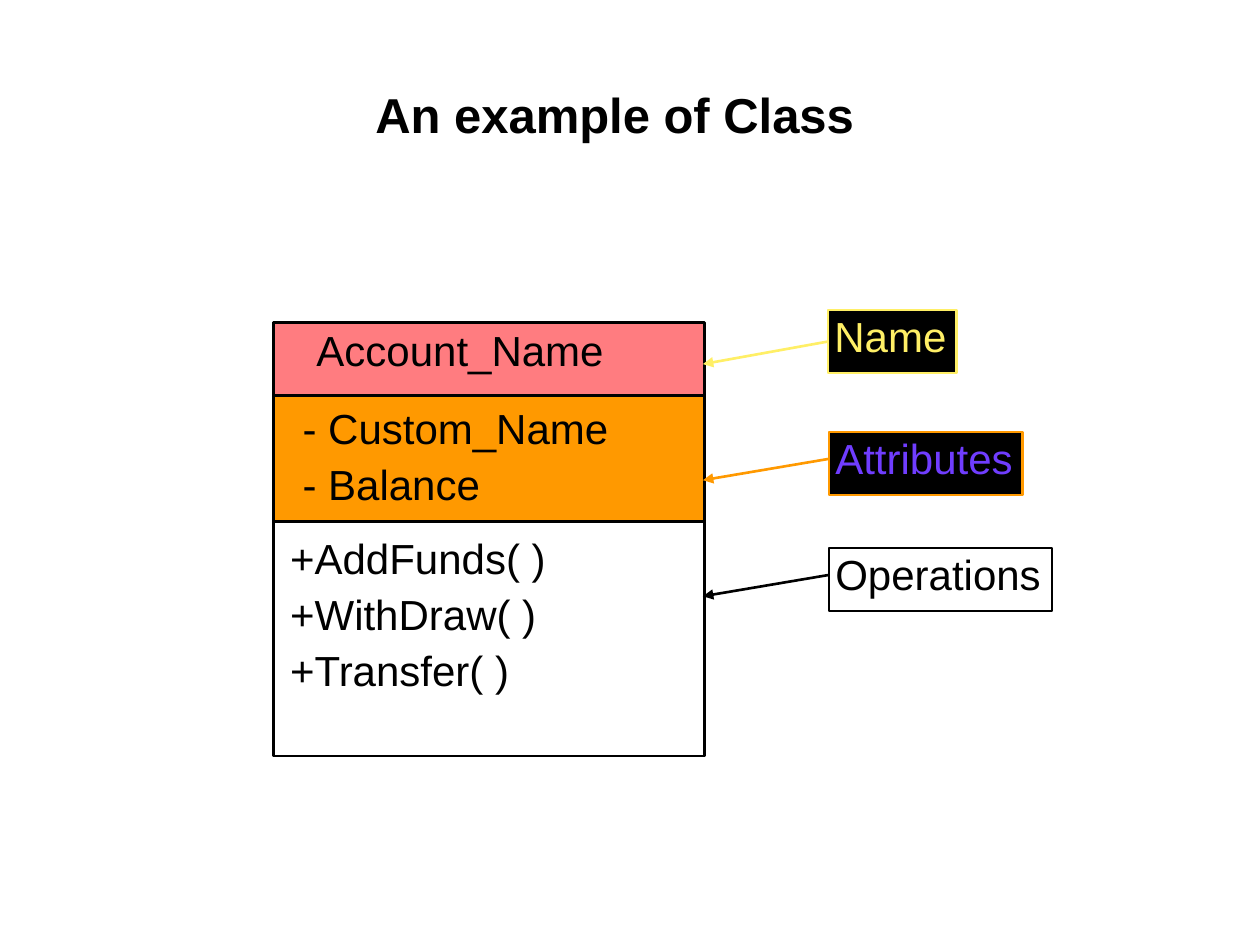
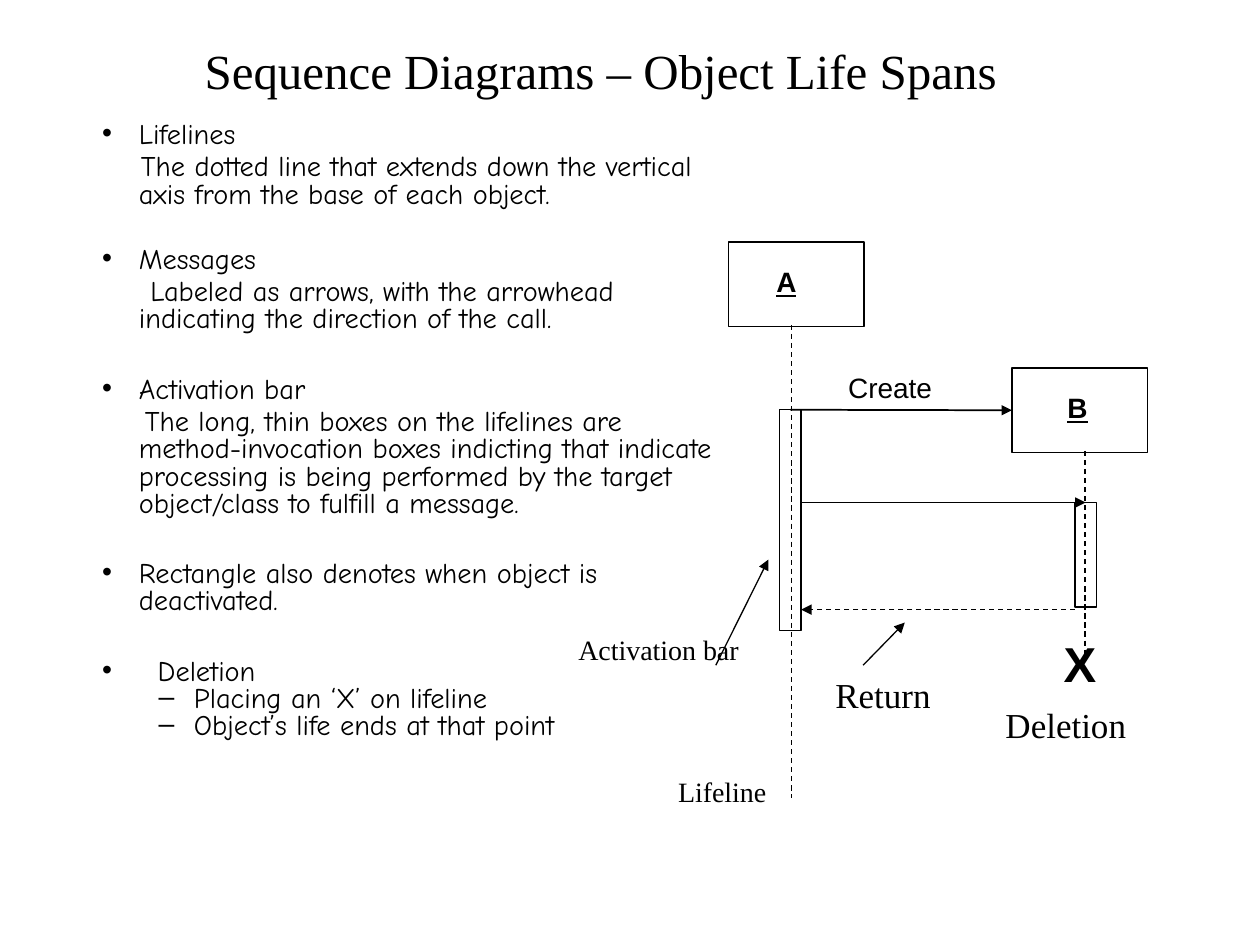
"""Build two slides on UML: a class box and a sequence diagram."""
from lxml.etree import SubElement
from pptx import Presentation
from pptx.dml.color import RGBColor
from pptx.enum.dml import MSO_LINE
from pptx.enum.shapes import MSO_CONNECTOR, MSO_SHAPE
from pptx.enum.text import MSO_ANCHOR, MSO_AUTO_SIZE, PP_ALIGN
from pptx.oxml.ns import qn
from pptx.util import Cm, Pt

BLACK, WHITE, YELLOW = "000000", "FFFFFF", "FFEF66"
ORANGE, PINK, VIOLET = "FF9900", "FF7C80", "703DFF"
SANS, SERIF, COMIC = "Arial", "Times New Roman", "Comic Neue"


def paint(code):
    return RGBColor.from_string(code)


def apply(target, values):
    for name, value in values.items():
        setattr(target, name, value)


class Deck:
    def __init__(self):
        self.file = Presentation()
        apply(self.file, {"slide_width": Cm(25.4), "slide_height": Cm(19.05)})
        self.slide = None

    def page(self, layout):
        self.slide = self.file.slides.add_slide(self.file.slide_layouts[layout])
        fill = self.slide.background.fill
        fill.solid()
        fill.fore_color.rgb = paint(WHITE)

    def place(self, item, box):
        apply(item, dict(zip(("left", "top", "width", "height"), map(Cm, box))))

    def frame(self, item, **more):
        frame = item.text_frame
        sides = ("margin_left", "margin_top", "margin_right", "margin_bottom")
        apply(frame, {"word_wrap": True, "auto_size": MSO_AUTO_SIZE.NONE,
                      "vertical_anchor": MSO_ANCHOR.TOP,
                      **dict.fromkeys(sides, Cm(0.13)), **more})
        return frame

    def word(self, para, text, size, font, color=BLACK, **more):
        run = para.add_run()
        run.text = text
        apply(run.font, {"size": Pt(size), "name": font, "bold": False, **more})
        run.font.color.rgb = paint(color)

    def label(self, item, lines, size, font=SANS, color=BLACK, space=1.0, **more):
        frame = self.frame(item)
        for row, line in enumerate(lines):
            para = frame.add_paragraph() if row else frame.paragraphs[0]
            apply(para, {"alignment": PP_ALIGN.LEFT, "line_spacing": space,
                         "space_before": Pt(6 if row else 0)})
            self.word(para, line, size, font, color, **more)

    def title(self, text, height, font, left, bottom, **more):
        item = self.slide.shapes.title
        self.place(item, (1.91, 0.43, 19.08, height))
        frame = self.frame(item, vertical_anchor=MSO_ANCHOR.BOTTOM,
                           margin_left=Cm(left), margin_bottom=Cm(bottom))
        frame.paragraphs[0].alignment = PP_ALIGN.CENTER
        self.word(frame.paragraphs[0], text, 28, font, **more)

    def points(self, box, rows):
        item = self.slide.placeholders[1]
        self.place(item, box)
        frame = self.frame(item)
        for row, (text, level, gap, left, first, mark) in enumerate(rows):
            para = frame.add_paragraph() if row else frame.paragraphs[0]
            apply(para, {"level": level, "line_spacing": 0.8,
                         "space_before": Pt(gap), "alignment": PP_ALIGN.LEFT})
            props = para._p.get_or_add_pPr()
            props.set("marL", str(Cm(left)))
            props.set("indent", str(Cm(first)))
            if mark:
                SubElement(props, qn("a:buFont")).set("typeface", SANS)
                SubElement(props, qn("a:buChar")).set("char", mark)
            else:
                SubElement(props, qn("a:buNone"))
            self.word(para, text, 16.2, COMIC)

    def text(self, box, lines, size, **more):
        item = self.slide.shapes.add_textbox(*map(Cm, box))
        self.label(item, lines, size, **more)

    def rect(self, box, line=BLACK, width=0.75, fill=None):
        item = self.slide.shapes.add_shape(MSO_SHAPE.RECTANGLE, *map(Cm, box))
        item.shadow.inherit = False
        if fill:
            item.fill.solid()
            item.fill.fore_color.rgb = paint(fill)
        else:
            item.fill.background()
        item.line.color.rgb = paint(line)
        item.line.width = Pt(width)
        return item

    def line(self, ends, color=BLACK, width=0.75, dash=False, head=True,
             start=None, stop=None):
        item = self.slide.shapes.add_connector(MSO_CONNECTOR.STRAIGHT, *map(Cm, ends))
        if start:
            item.begin_connect(*start)
        if stop:
            item.end_connect(*stop)
        item.line.color.rgb = paint(color)
        item.line.width = Pt(width)
        if dash:
            item.line.dash_style = MSO_LINE.DASH
        if head:
            SubElement(item.line._get_or_add_ln(), qn("a:tailEnd")).set("type", "triangle")
        SubElement(item._element.spPr, qn("a:effectLst"))


def show_class(deck):
    deck.page(5)
    deck.title("An example of Class", 4.45, SANS, 2.01, 1.98, bold=True)
    top = 6.5
    for height, fill in ((1.48, PINK), (2.54, ORANGE), (4.72, None)):
        deck.rect((5.51, top, 8.69, height), width=1.5, fill=fill)
        top += height
    for box, lines in (
        ((6.25, 6.53, 6.99, 1.25), ["Account_Name"]),
        ((5.97, 8.1, 7.75, 2.62), ["- Custom_Name", "- Balance"]),
        ((5.72, 10.72, 6.76, 5.08), ["+AddFunds( )", "+WithDraw( )", "+Transfer( )"]),
    ):
        deck.text(box, lines, 24, space=0.9)
    labels = (
        ("Name", 16.69, 6.25, 2.59, BLACK, YELLOW, YELLOW),
        ("Attributes", 16.71, 8.71, 3.91, BLACK, ORANGE, VIOLET),
        ("Operations", 16.71, 11.05, 4.5, None, BLACK, BLACK),
    )
    for row, (word, left, top, width, fill, edge, ink) in enumerate(labels):
        label = deck.rect((left, top, width, 1.27), edge, 1.5, fill)
        deck.label(label, [word], 24, color=ink, space=0.9)
        mid = 6.91 + 2.34 * row
        deck.line((16.71, mid, 14.17, mid + 0.43), edge, 1.5,
                  start=None if row else (label, 1))


def show_spans(deck):
    deck.page(1)
    deck.title("Sequence Diagrams – Object Life Spans", 1.7, SERIF, 1.45, 0.13)
    deck.points((1.93, 2.34, 12.67, 15.88), (
        ("Lifelines", 0, 0, 0.74, -0.74, "•"),
        ("The dotted line that extends down the vertical axis from the base "
         "of each object.", 0, 3, 0.74, 0.04, None),
        ("Messages", 0, 21.6, 0.74, -0.74, "•"),
        ("Labeled as arrows, with the arrowhead indicating the direction "
         "of the call.", 0, 3, 0.74, 0.23, None),
        ("Activation bar", 0, 24.6, 0.74, -0.74, "•"),
        ("The long, thin boxes on the lifelines are method-invocation boxes "
         "indicting that indicate processing is being performed by the target "
         "object/class to fulfill a message.", 0, 3, 0.74, 0.12, None),
        ("Rectangle also denotes when object is deactivated.",
         0, 24.6, 0.74, -0.74, "•"),
        ("Deletion", 0, 24.6, 1.12, -1.12, "•"),
        ("Placing an ‘X’ on lifeline", 1, 0, 1.85, -0.71, "–"),
        ("Object’s life ends at that point", 1, 0, 1.85, -0.71, "–"),
    ))

    deck.rect((14.68, 4.88, 2.74, 1.7))
    target = deck.rect((20.4, 7.42, 2.74, 1.7))
    for name, left, top in (("A", 15.52, 5.21), ("B", 21.39, 7.75)):
        deck.text((left, top, 0.69, 0.86), [name], 16, bold=True, underline=True)
    caller = deck.rect((15.72, 8.26, 0.43, 4.45))
    callee = deck.rect((21.67, 10.13, 0.43, 2.11))

    for ends in ((15.95, 6.55, 15.95, 16.08), (21.87, 9.09, 21.87, 13.34)):
        deck.line(ends, dash=True, head=False)
    deck.line((15.95, 8.26, 20.4, 8.26), width=1, start=(caller, 0), stop=(target, 1))
    deck.line((16.15, 10.13, 21.87, 10.13), width=1, stop=(callee, 0))
    deck.line((21.67, 12.29, 16.15, 12.29), dash=True)
    for ends in ((17.4, 13.41, 18.24, 12.55), (14.43, 13.41, 15.49, 11.28)):
        deck.line(ends)

    deck.text((16.97, 7.42, 1.98, 0.86), ["Create"], 16, space=0.9)
    deck.text((21.31, 12.78, 0.94, 1.35), ["X"], 28, space=0.9, bold=True)
    for word, size, box in (
        ("Activation bar", 16, (11.53, 12.62, 4.34, 1.04)),
        ("Deletion", 20, (20.14, 14.05, 2.72, 1.04)),
        ("Return", 20, (16.71, 13.44, 2.21, 1.04)),
        ("Lifeline", 16, (13.54, 15.49, 2.08, 0.86)),
    ):
        deck.text(box, [word], size, font=SERIF)


def main():
    deck = Deck()
    show_class(deck)
    show_spans(deck)
    deck.file.save("out.pptx")


if __name__ == "__main__":
    main()
